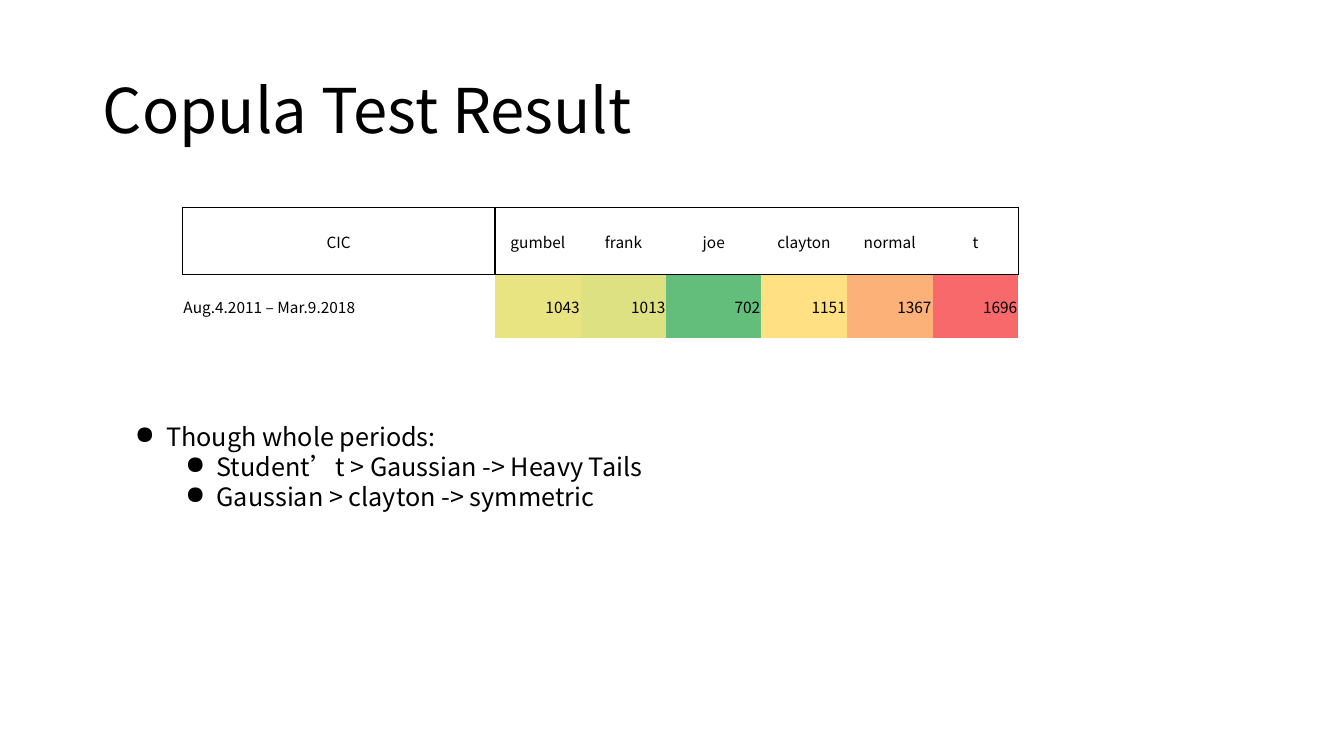
from dataclasses import dataclass

from lxml import etree
from pptx import Presentation
from pptx.dml.color import RGBColor
from pptx.enum import text as tx
from pptx.oxml import ns
from pptx.util import Inches, Pt


@dataclass(frozen=True)
class Theme:
    font: str = "Noto Sans CJK SC"
    ink: str = "000000"
    title_size: int = 44
    body_size: int = 18
    table_size: int = 11
    border_width: int = 1


@dataclass(frozen=True)
class Copula:
    name: str
    score: int
    fill: str
    width: float = 0.85


@dataclass(frozen=True)
class Finding:
    wording: str
    level: int
    indent: float


THEME = Theme()
COPULAS = [
    Copula("gumbel", 1043, "E9E482"),
    Copula("frank", 1013, "DDE182"),
    Copula("joe", 702, "63BE7B", 0.94),
    Copula("clayton", 1151, "FFE082"),
    Copula("normal", 1367, "FCB179"),
    Copula("t", 1696, "F8696B"),
]
FINDINGS = [
    Finding("Though whole periods:", 0, 0.31),
    Finding("Student’t > Gaussian -> Heavy Tails", 1, 0.81),
    Finding("Gaussian > clayton -> symmetric", 1, 0.81),
]
PERIOD_WIDTH = 3.1
HANGING = 0.31


def apply(target, values: dict) -> None:
    for name, value in values.items():
        setattr(target, name, value)


def write(paragraph, wording: str, size: int, **layout) -> None:
    """Fill a paragraph with one run in the slide's font."""
    apply(paragraph, layout)
    run = paragraph.add_run()
    run.text = wording
    apply(run.font, {"name": THEME.font, "size": Pt(size), "bold": False})
    run.font.color.rgb = RGBColor.from_string(THEME.ink)
    east_asian = etree.SubElement(run.font._element, ns.qn("a:ea"))
    east_asian.set("typeface", THEME.font)


def set_borders(cell, sides: str) -> None:
    """Draw the named sides (L, R, T, B) and clear the others."""
    properties = cell._tc.get_or_add_tcPr()
    for index, side in enumerate("LRTB"):
        line = etree.Element(ns.qn(f"a:ln{side}"))
        line.set("w", str(Pt(THEME.border_width)))
        if side in sides:
            solid = etree.SubElement(line, ns.qn("a:solidFill"))
            etree.SubElement(solid, ns.qn("a:srgbClr")).set("val", THEME.ink)
        else:
            etree.SubElement(line, ns.qn("a:noFill"))
        properties.insert(index, line)


def fill_cell(cell, wording: str, align, sides: str, fill: str = "") -> None:
    apply(cell, {
        "margin_left": Inches(0.01),
        "margin_right": Inches(0.01),
        "margin_top": Inches(0.01),
        "margin_bottom": 0,
        "vertical_anchor": tx.MSO_ANCHOR.MIDDLE,
    })
    if fill:
        cell.fill.solid()
        cell.fill.fore_color.rgb = RGBColor.from_string(fill)
    else:
        cell.fill.background()
    set_borders(cell, sides)
    write(cell.text_frame.paragraphs[0], wording, THEME.table_size, alignment=align)


def add_title(slide) -> None:
    title = slide.shapes.title
    apply(title, {"left": Inches(0.92), "top": Inches(0.4),
                  "width": Inches(11.5), "height": Inches(1.45)})
    apply(title.text_frame, {"vertical_anchor": tx.MSO_ANCHOR.MIDDLE,
                             "auto_size": tx.MSO_AUTO_SIZE.NONE})
    write(title.text_frame.paragraphs[0], "Copula Test Result", THEME.title_size,
          alignment=tx.PP_ALIGN.LEFT, line_spacing=0.9)


def add_scores(slide) -> None:
    widths = [PERIOD_WIDTH] + [copula.width for copula in COPULAS]
    heights = [0.66, 0.63]
    scores = slide.shapes.add_table(
        len(heights), len(widths), Inches(1.81), Inches(2.06),
        Inches(sum(widths)), Inches(sum(heights))).table
    apply(scores, {"first_row": False, "horz_banding": False})
    for column, width in zip(scores.columns, widths):
        column.width = Inches(width)
    for row, height in zip(scores.rows, heights):
        row.height = Inches(height)

    # Period column
    fill_cell(scores.cell(0, 0), "CIC", tx.PP_ALIGN.CENTER, "LRTB")
    fill_cell(scores.cell(1, 0), "Aug.4.2011 – Mar.9.2018", tx.PP_ALIGN.LEFT, "T")

    # One column per copula; the header row is framed as a whole
    for index, copula in enumerate(COPULAS, start=1):
        sides = "TB" + ("L" if index == 1 else "") + ("R" if index == len(COPULAS) else "")
        fill_cell(scores.cell(0, index), copula.name, tx.PP_ALIGN.CENTER, sides)
        fill_cell(scores.cell(1, index), str(copula.score), tx.PP_ALIGN.RIGHT,
                  "T", copula.fill)


def add_findings(slide) -> None:
    findings = slide.shapes.add_textbox(
        Inches(1.24), Inches(4.13), Inches(11.49), Inches(1.01)).text_frame
    apply(findings, {"word_wrap": True, "auto_size": tx.MSO_AUTO_SIZE.SHAPE_TO_FIT_TEXT})
    for index, finding in enumerate(FINDINGS):
        paragraph = findings.add_paragraph() if index else findings.paragraphs[0]
        properties = paragraph._p.get_or_add_pPr()
        properties.set("marL", str(Inches(finding.indent)))
        properties.set("indent", str(-Inches(HANGING)))
        etree.SubElement(properties, ns.qn("a:buChar")).set("char", "●")
        write(paragraph, finding.wording, THEME.body_size,
              level=finding.level, line_spacing=Pt(21.5))


def main() -> None:
    deck = Presentation()
    apply(deck, {"slide_width": Inches(13.33), "slide_height": Inches(7.5)})
    slide = deck.slides.add_slide(deck.slide_layouts[5])
    add_title(slide)
    add_scores(slide)
    add_findings(slide)
    deck.save("out.pptx")


if __name__ == "__main__":
    main()
